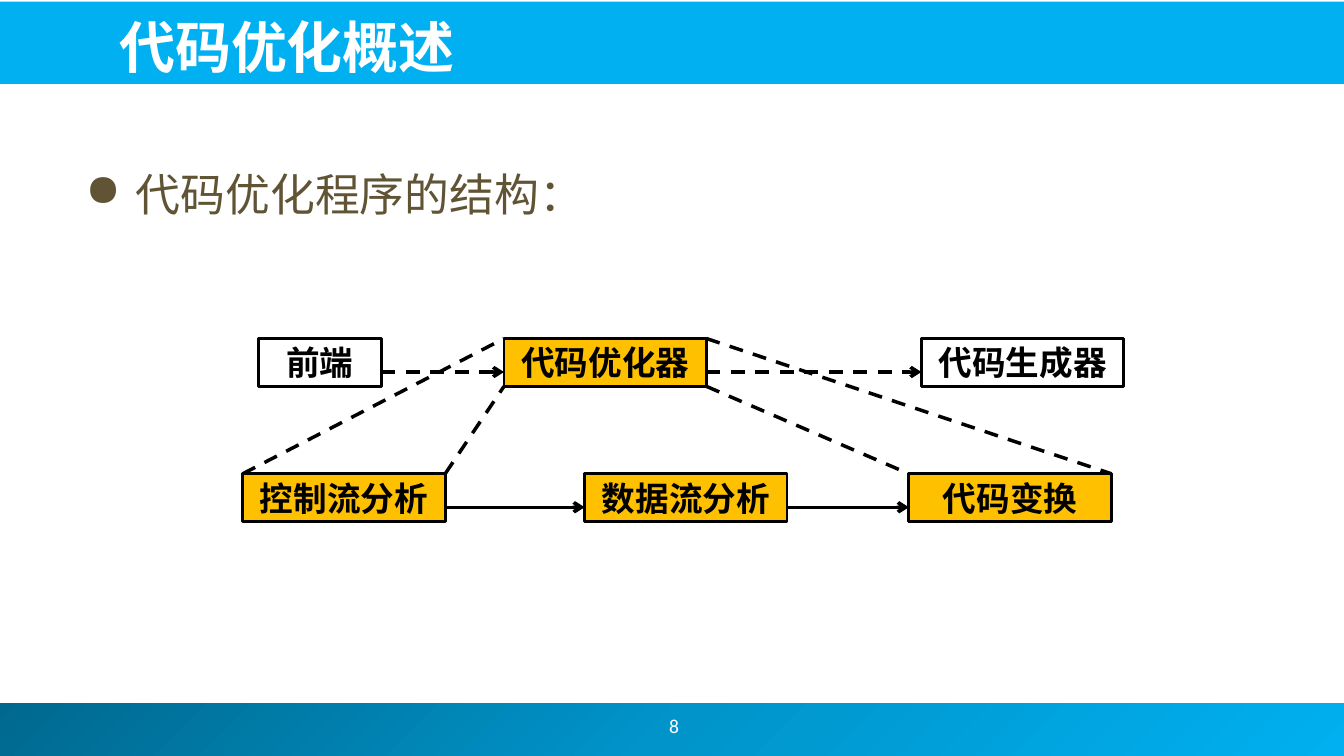
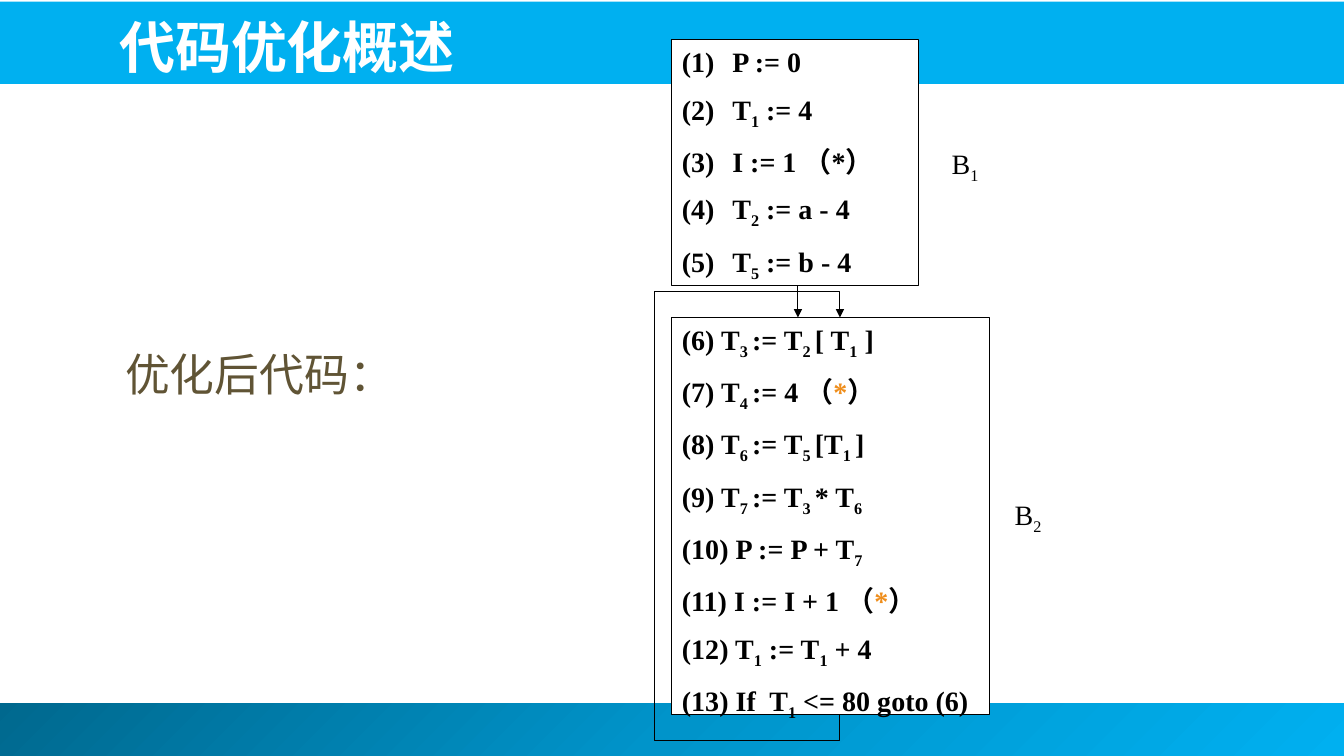
from copy import deepcopy

from pptx import Presentation
from pptx.dml.color import RGBColor
from pptx.enum.dml import MSO_LINE
from pptx.enum.lang import MSO_LANGUAGE_ID
from pptx.enum.shapes import MSO_CONNECTOR, MSO_SHAPE
from pptx.enum.text import MSO_ANCHOR, PP_ALIGN
from pptx.oxml.ns import qn
from pptx.oxml.xmlchemy import OxmlElement
from pptx.util import Emu, Pt

RECT = MSO_SHAPE.RECTANGLE
STRAIGHT = MSO_CONNECTOR.STRAIGHT
DASH = MSO_LINE.DASH
TOP, MID, LOW = MSO_ANCHOR.TOP, MSO_ANCHOR.MIDDLE, MSO_ANCHOR.BOTTOM
LEFT, CENTER = PP_ALIGN.LEFT, PP_ALIGN.CENTER
CHINESE = MSO_LANGUAGE_ID.SIMPLIFIED_CHINESE

SANS, SERIF = "Noto Sans CJK JP", "Times New Roman"
HEX = {"white": "FFFFFF", "black": "000000", "sky": "00B0F0", "sea": "0094CA",
       "deep": "00688E", "gold": "FFC000", "brown": "605435", "star": "EF8E1C"}
INK = {name: RGBColor.from_string(code) for name, code in HEX.items()}

# The slide is a grid of 160 columns by 90 rows of square cells.
COLS, ROWS = 160, 90
CELL = Emu(76200)


def write(slide, text, at, fill=None, edge=0, size=24, font=SANS, ink="black",
          bold=False, align=LEFT, anchor=TOP, before=0, hang=0, bullet=None):
    """Add a text box, or a rectangle if fill or edge is given.

    Each line is a paragraph; _x_ is a subscript and ^x^ is in the star colour.
    """
    place = [round(n * CELL) for n in at]
    if fill or edge:
        box = slide.shapes.add_shape(RECT, *place)
        box.shadow.inherit = False
    else:
        box = slide.shapes.add_textbox(*place)
    if fill:
        box.fill.solid()
        box.fill.fore_color.rgb = INK[fill]
    else:
        box.fill.background()
    if edge:
        box.line.color.rgb = INK["black"]
        box.line.width = Pt(edge)
    else:
        box.line.fill.background()

    frame = box.text_frame
    frame.word_wrap = True
    frame.vertical_anchor = anchor
    for row, line in enumerate(text.split("\n")):
        para = frame.add_paragraph() if row else frame.paragraphs[0]
        para.alignment = align
        para.space_before = Pt(before)
        props = para._p.get_or_add_pPr()
        if hang:
            props.set("marL", str(hang * CELL))
            props.set("indent", str(-hang * CELL))
        if bullet:
            tag, key, value = bullet
            mark = OxmlElement(tag)
            mark.set(key, value)
            props.append(mark)
        for odd, part in enumerate(line.split("^")):
            for sub, bit in enumerate(part.split("_")):
                if not bit:
                    continue
                run = para.add_run()
                run.text = bit
                run.font.name = font
                run.font.size = Pt(size)
                run.font.bold = bold
                run.font.color.rgb = INK["star" if odd % 2 else ink]
                run.font.language_id = CHINESE
                rpr = run._r.get_or_add_rPr()
                if sub % 2:
                    rpr.set("baseline", "-25000")
                east = OxmlElement("a:ea")
                east.set("typeface", SANS)
                rpr.find(qn("a:latin")).addnext(east)
    return box


def stroke(shape, width, dash=None, head=None):
    """Style a connector or an open outline, with an optional arrowhead."""
    shape.line.color.rgb = INK["black"]
    shape.line.width = Pt(width)
    if dash:
        shape.line.dash_style = dash
    if head:
        tip = OxmlElement("a:tailEnd")
        tip.set("type", head)
        shape.line._get_or_add_ln().append(tip)
    shape._element.spPr.append(OxmlElement("a:effectLst"))


deck = Presentation()
deck.slide_width, deck.slide_height = COLS * CELL, ROWS * CELL
blank = deck.slide_layouts[6]

# Bands and title, the same on both slides
slides = []
for _ in range(2):
    slide = deck.slides.add_slide(blank)
    foot = write(slide, "", (-0.6, 83.7, 160.6, 6.3), fill="sky")
    foot.fill.gradient()
    foot.fill.gradient_angle = 315
    first = foot._element.find(".//" + qn("a:gs"))
    first.addnext(deepcopy(first))
    shades = zip(foot.fill.gradient_stops, ("deep", "sea", "sky"))
    for step, (stop, shade) in enumerate(shades):
        stop.position = step / 2
        stop.color.rgb = INK[shade]
    write(slide, "", (-0.2, 0.2, 160.3, 9.8), fill="sky")
    write(slide, "代码优化概述", (13, 0.6, 141.7, 9.5), size=40, ink="white",
          bold=True, anchor=LOW)
    slides.append(slide)
flow, code = slides

# Structure of the optimizer
write(flow, "8", (62.9, 83.4, 34.7, 6), size=14, font="Calibri", ink="white",
      align=CENTER, anchor=MID)
write(flow, "代码优化程序的结构：", (9, 19.2, 103.9, 9.5), size=32, ink="brown",
      before=6.4, hang=6, bullet=("a:buChar", "char", "●"))

HIGH, WIDE, SLIM = 5.7, 24.1, 14.6
upper, lower = 40.3, 56.4
front, tuner, maker = 30.8, 60, 109.7
control, data, change = 28.9, 69.6, 108.2
nodes = [("前端", front, upper, SLIM, None),
         ("代码优化器", tuner, upper, WIDE, "gold"),
         ("代码生成器", maker, upper, WIDE, None),
         ("控制流分析", control, lower, WIDE, "gold"),
         ("数据流分析", data, lower, WIDE, "gold"),
         ("代码变换", change, lower, WIDE, "gold")]
for name, x, y, wide, fill in nodes:
    write(flow, name, (x, y, wide, HIGH), fill=fill, edge=2, bold=True,
          align=CENTER, anchor=MID)

drop = 0.7 * HIGH
high, low, base = upper + drop, lower + drop, upper + HIGH
links = [(front + SLIM, high, tuner, high, DASH, "arrow"),
         (tuner + WIDE, high, maker, high, DASH, "arrow"),
         (control + WIDE, low, data, low, None, "arrow"),
         (data + WIDE, low, change, low, None, "arrow"),
         (control, lower, tuner, upper, DASH, None),
         (control + WIDE, lower, tuner, base, DASH, None),
         (tuner + WIDE, base, change, lower, DASH, None),
         (tuner + WIDE, upper, change + WIDE, lower, DASH, None)]
for *ends, dash, head in links:
    link = flow.shapes.add_connector(STRAIGHT, *[round(n * CELL) for n in ends])
    stroke(link, 2.5, dash, head)

# Optimized code
start = """P := 0
T_1_ := 4
I := 1 （*）
T_2_ := a - 4
T_5_ := b - 4"""
body = """(6) T_3 _:= T_2 _[ T_1_ ]
(7) T_4 _:= 4 （^*^）
(8) T_6 _:= T_5 _[T_1 _]
(9) T_7 _:= T_3 _* T_6_
(10) P := P + T_7_
(11) I := I + 1 （^*^）
(12) T_1_ := T_1_ + 4
(13) If  T_1_ <= 80 goto (6)"""
number = ("a:buAutoNum", "type", "arabicParenBoth")
left, top, end, next_top, bottom = 80, 4.7, 34, 37.8, 85.1
for text, y, wide, stop, mark in ((start, top, 29.4, end, number),
                                  (body, next_top, 37.8, bottom, None)):
    write(code, text, (left, y, wide, stop - y), fill="white", edge=0.75,
          size=20, font=SERIF, bold=True, before=10, hang=6, bullet=mark)

fall = code.shapes.add_connector(
    STRAIGHT, *[round(n * CELL) for n in (95, end, 95, next_top)])
stroke(fall, 0.75, head="triangle")

for text, x, y, wide in (("B_1_", 112.1, 16.9, 7.5), ("B_2_", 119.6, 58.6, 6.8)):
    write(code, text, (x, y, wide, 5.2), fill="white", size=20, font=SERIF,
          before=10)

turn, side = 100, 77.9
bends = [(turn, 88.2), (side, 88.2), (side, 34.7), (turn, 34.7), (turn, next_top)]
pen = code.shapes.build_freeform(turn, bottom, scale=CELL)
pen = code.shapes.build_freeform(round(turn * CELL), round(bottom * CELL))
pen.add_line_segments([(round(x * CELL), round(y * CELL)) for x, y in bends],
                      close=False)
back = pen.convert_to_shape()
back.fill.background()
stroke(back, 0.75, head="triangle")

write(code, "优化后代码：", (13.7, 40.7, 39.7, 8.5), size=32, ink="brown",
      before=6.4)

deck.save("out.pptx")
